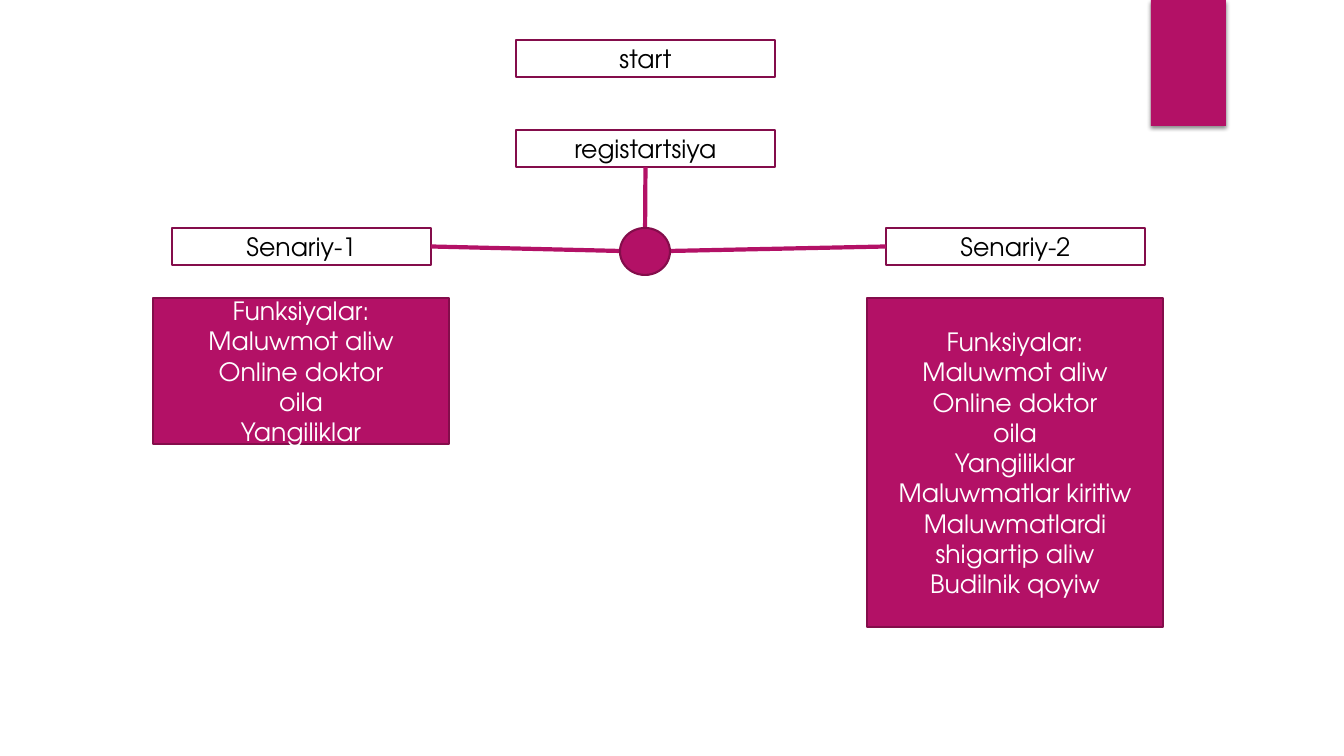
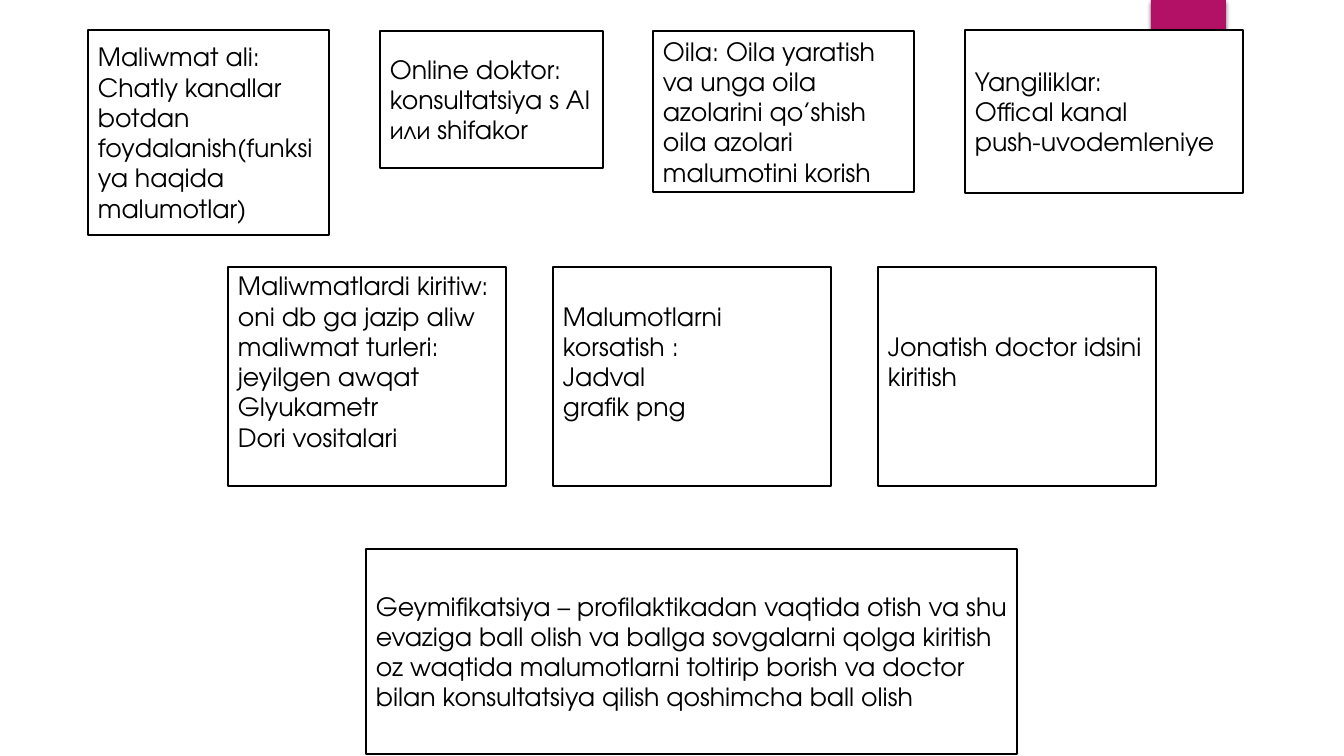
from pptx import Presentation
from pptx.dml.color import RGBColor
from pptx.enum.shapes import MSO_CONNECTOR, MSO_SHAPE
from pptx.enum.text import MSO_ANCHOR, PP_ALIGN
from pptx.oxml import parse_xml
from pptx.oxml.ns import nsdecls, qn
from pptx.util import Emu, Pt

RECT, OVAL = MSO_SHAPE.RECTANGLE, MSO_SHAPE.OVAL
STRAIGHT = MSO_CONNECTOR.STRAIGHT
MIDDLE = MSO_ANCHOR.MIDDLE
CENTER, LEFT = PP_ALIGN.CENTER, PP_ALIGN.LEFT

FONT = "TeX Gyre Adventor"
PINK, PLUM, WHITE, BLACK = "B31166", "840D4B", "FFFFFF", "000000"
PX = 914400 / 100.8
LINE_HEIGHT = 30
BAND_SHADOW = (
    f'<a:effectLst {nsdecls("a")}><a:outerShdw blurRad="38100" dist="25400" dir="5400000">'
    '<a:srgbClr val="000000"><a:alpha val="45000"/></a:srgbClr></a:outerShdw></a:effectLst>')
TEXT_OUTLINE = (
    f'<a:ln {nsdecls("a")} w="9525"><a:solidFill><a:srgbClr val="000000"/></a:solidFill></a:ln>')


def px(n):
    return Emu(round(n * PX))


def box(s, at, fill, line=None, paragraphs=(), color=BLACK, align=CENTER, kind=RECT):
    sp = s.shapes.add_shape(kind, *map(px, at))
    sp.shadow.inherit = False
    sp.fill.solid()
    sp.fill.fore_color.rgb = RGBColor.from_string(fill)
    if line:
        sp.line.color.rgb = RGBColor.from_string(line)
        sp.line.width = Pt(1.5)
    else:
        sp.line.fill.background()
    tf = sp.text_frame
    tf.word_wrap = True
    tf.vertical_anchor = MIDDLE
    for i, text in enumerate(paragraphs):
        p = tf.add_paragraph() if i else tf.paragraphs[0]
        p.text = text
        p.alignment = align
        p.font.name, p.font.size = FONT, Pt(18)
        p.font.color.rgb = RGBColor.from_string(color)
    return sp


prs = Presentation()
prs.slide_width, prs.slide_height = px(1344), px(756)

# Both slides carry the corner band
slides = []
for _ in range(2):
    s = prs.slides.add_slide(prs.slide_layouts[6])
    band = box(s, (1151, 0, 75, 126), PINK)
    sp_pr = band._element.spPr
    sp_pr.replace(sp_pr.find(qn("a:effectLst")), parse_xml(BAND_SHADOW))
    slides.append(s)
flow, details = slides

# Slide 1: steps
steps = {}
for name, x, y in [("start", 516, 40), ("registartsiya", 516, 130),
                   ("Senariy-1", 172, 228), ("Senariy-2", 886, 228)]:
    steps[name] = box(flow, (x, y, 259, 37), WHITE, PLUM, [name])

# Slide 1: lines from the steps to the hub, which covers the first one's end
for name, side, x, y in [("registartsiya", 2, 645, 246),
                         ("Senariy-1", 3, 620, 251), ("Senariy-2", 1, 670, 251)]:
    cn = flow.shapes.add_connector(STRAIGHT, 0, 0, px(x), px(y))
    cn.begin_connect(steps[name], side)
    cn.line.color.rgb = RGBColor.from_string(PINK)
    cn.line.width = Pt(3)
    cn._element.spPr.append(parse_xml(f'<a:effectLst {nsdecls("a")}/>'))
box(flow, (620, 228, 50, 47), PINK, PLUM, kind=OVAL)

# Slide 1: functions of each scenario
common = ["Funksiyalar:\nMaluwmot aliw", "Online doktor", "oila", "Yangiliklar"]
extra = ["Maluwmatlar kiritiw", "Maluwmatlardi shigartip aliw", "Budilnik qoyiw"]
for x, h, functions in [(153, 146, common), (867, 329, common + extra)]:
    box(flow, (x, 298, 296, h), PINK, PLUM, functions, WHITE)

# Slide 2: one card per function; the middle row's text sits half a line higher
middle_row = [
    ["Maliwmatlardi kiritiw:\noni db ga jazip aliw\nmaliwmat turleri:\njeyilgen awqat",
     "Glyukametr", "Dori vositalari"],
    ["Malumotlarni korsatish :\nJadval\ngrafik png"],
    ["Jonatish doctor idsini kiritish"],
]
cards = [
    ((88, 30, 241, 205), 0,
     ["Maliwmat ali:\nChatly kanallar\nbotdan foydalanish(funksiya haqida malumotlar)"]),
    ((380, 31, 223, 137), 0, ["Online doktor:\nkonsultatsiya s AI или shifakor"]),
    ((653, 31, 261, 161), 0,
     ["Oila: Oila yaratish va unga oila azolarini qo’shish oila azolari malumotini korish"]),
    ((965, 30, 278, 163), 0, ["Yangiliklar:", "Offical kanal\npush-uvodemleniye"]),
    ((366, 549, 651, 205), 0,
     ["Geymifikatsiya – profilaktikadan vaqtida otish va shu evaziga ball olish va ballga "
      "sovgalarni qolga kiritish\noz waqtida malumotlarni toltirip borish va doctor bilan "
      "konsultatsiya qilish qoshimcha ball olish"]),
]
cards += [((228 + 325 * i, 267, 278, 219), LINE_HEIGHT, text)
          for i, text in enumerate(middle_row)]
for at, lift, text in cards:
    card = box(details, at, WHITE, BLACK, text, align=LEFT)
    card.text_frame.margin_bottom = px(5 + lift)
    for p in card.text_frame.paragraphs:
        p._p.pPr.find(qn("a:defRPr")).insert(0, parse_xml(TEXT_OUTLINE))

prs.save("out.pptx")
